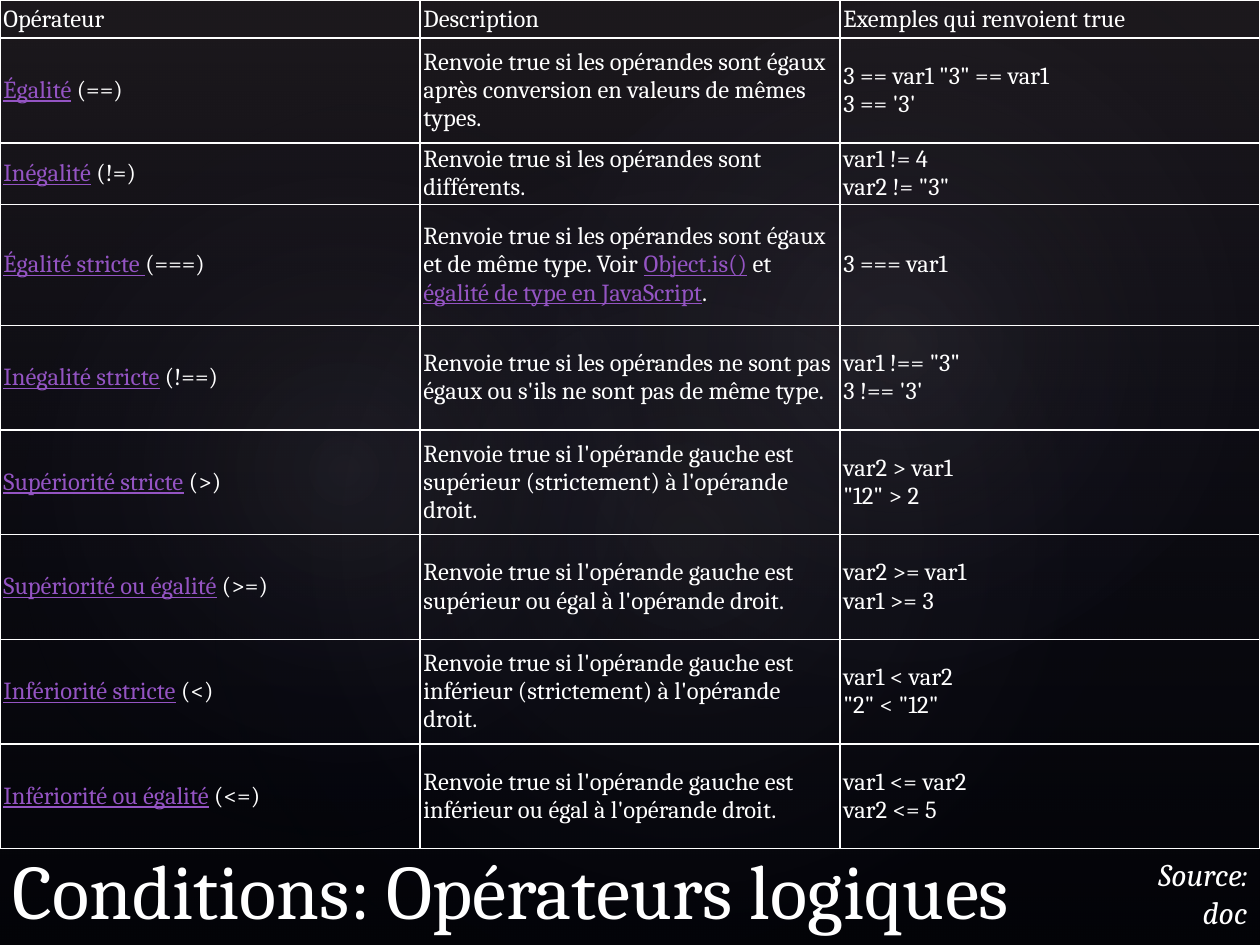
from typing import NamedTuple

from lxml.etree import SubElement
from pptx import Presentation
from pptx.dml.color import RGBColor
from pptx.enum.shapes import MSO_SHAPE
from pptx.enum.text import MSO_ANCHOR, MSO_AUTO_SIZE, PP_ALIGN
from pptx.oxml import parse_xml
from pptx.oxml.ns import nsdecls, qn
from pptx.util import Cm, Pt

FONT = "Cambria"
WHITE = "FFFFFF"
LINK = "9454C3"
NAVY = "242852"
GLOW = "C4BCC6"


class Box(NamedTuple):
    left: float
    top: float
    width: float
    height: float

    def lengths(self) -> list[Cm]:
        return [Cm(value) for value in self]


class Stop(NamedTuple):
    position: int
    color: str
    opacity: int


class Glow(NamedTuple):
    box: Box
    rotation: float
    opacity: int


class Operator(NamedTuple):
    """One table row; link text stands between vertical bars."""
    name: str
    description: str
    examples: str
    height: float = 2.11


GLOWS = [
    Glow(Box(3.81, 2.9, 20.12, 15.85), 328.7, 7),
    Glow(Box(-0.76, 3.25, 15.39, 12.45), 294.3, 8),
    Glow(Box(9.09, 0.33, 18.01, 13.21), 328.7, 8),
]

OPERATORS = [
    Operator("Opérateur", "Description", "Exemples qui renvoient true", 0.77),
    Operator("|Égalité| (==)",
             "Renvoie true si les opérandes sont égaux après conversion en valeurs de mêmes types.",
             "3 == var1 \"3\" == var1\n3 == '3'"),
    Operator("|Inégalité| (!=)", "Renvoie true si les opérandes sont différents.",
             "var1 != 4\nvar2 != \"3\"", 1.12),
    Operator("|Égalité stricte |(===)",
             "Renvoie true si les opérandes sont égaux et de même type. "
             "Voir |Object.is()| et |égalité de type en JavaScript|.",
             "3 === var1", 2.43),
    Operator("|Inégalité stricte| (!==)",
             "Renvoie true si les opérandes ne sont pas égaux ou s'ils ne sont pas de même type.",
             "var1 !== \"3\"\n3 !== '3'"),
    Operator("|Supériorité stricte| (>)",
             "Renvoie true si l'opérande gauche est supérieur (strictement) à l'opérande droit.",
             "var2 > var1\n\"12\" > 2"),
    Operator("|Supériorité ou égalité| (>=)",
             "Renvoie true si l'opérande gauche est supérieur ou égal à l'opérande droit.",
             "var2 >= var1\nvar1 >= 3"),
    Operator("|Infériorité stricte| (<)",
             "Renvoie true si l'opérande gauche est inférieur (strictement) à l'opérande droit.",
             "var1 < var2\n\"2\" < \"12\""),
    Operator("|Infériorité ou égalité| (<=)",
             "Renvoie true si l'opérande gauche est inférieur ou égal à l'opérande droit.",
             "var1 <= var2\nvar2 <= 5"),
]


def rgb(color: str) -> RGBColor:
    return RGBColor.from_string(color)


def format_run(run, size: float, color: str = WHITE) -> None:
    run.font.name = FONT
    run.font.size = Pt(size)
    run.font.color.rgb = rgb(color)


def add_gradient(slide, kind: MSO_SHAPE, box: Box, stops: list[Stop], direction: str):
    """Draw a borderless shape with a translucent gradient."""
    shape = slide.shapes.add_shape(kind, *box.lengths())
    shape.shadow.inherit = False
    shape.line.fill.background()
    stop_xml = "".join(
        f'<a:gs pos="{stop.position * 1000}"><a:srgbClr val="{stop.color}">'
        f'<a:alpha val="{stop.opacity * 1000}"/></a:srgbClr></a:gs>'
        for stop in stops
    )
    gradient = parse_xml(
        f'<a:gradFill {nsdecls("a")} rotWithShape="1"><a:gsLst>{stop_xml}</a:gsLst>'
        f'{direction}</a:gradFill>'
    )
    shape.element.spPr.find(qn("a:prstGeom")).addnext(gradient)
    return shape


def add_text(slide, box: Box, text: str, size: float):
    text_box = slide.shapes.add_textbox(*box.lengths())
    frame = text_box.text_frame
    frame.word_wrap = True
    frame.text = text
    format_run(frame.paragraphs[0].runs[0], size)
    return frame


def add_borders(cell) -> None:
    properties = cell._tc.get_or_add_tcPr()
    for side in ("lnL", "lnR", "lnT", "lnB"):
        line = SubElement(properties, qn(f"a:{side}"), w=str(Pt(1)))
        fill = SubElement(line, qn("a:solidFill"))
        SubElement(fill, qn("a:srgbClr"), val=WHITE)


def fill_cell(cell, text: str) -> None:
    cell.margin_left = cell.margin_right = Cm(0.07)
    cell.margin_top = cell.margin_bottom = Cm(0.03)
    cell.vertical_anchor = MSO_ANCHOR.MIDDLE
    add_borders(cell)
    cell.fill.background()
    frame = cell.text_frame
    for number, line in enumerate(text.split("\n")):
        paragraph = frame.add_paragraph() if number else frame.paragraphs[0]
        for index, part in enumerate(line.split("|")):
            if not part:
                continue
            is_link = index % 2 == 1
            run = paragraph.add_run()
            run.text = part
            format_run(run, 14, LINK if is_link else WHITE)
            run.font.underline = is_link


def add_operator_table(slide, box: Box) -> None:
    columns = 3
    table = slide.shapes.add_table(len(OPERATORS), columns, *box.lengths()).table
    table.first_row = table.horz_banding = False
    for column in table.columns:
        column.width = Cm(box.width / columns)
    for row, operator in zip(table.rows, OPERATORS):
        row.height = Cm(operator.height)
        for cell, text in zip(row.cells, operator[:columns]):
            fill_cell(cell, text)


def main() -> None:
    presentation = Presentation()
    presentation.slide_width, presentation.slide_height = Cm(25.4), Cm(19.05)
    slide = presentation.slides.add_slide(presentation.slide_layouts[6])

    # Background with soft glows
    slide.background.fill.solid()
    slide.background.fill.fore_color.rgb = rgb("000000")
    add_gradient(slide, MSO_SHAPE.RECTANGLE, Box(0, 0, 25.4, 19.05),
                 [Stop(0, "504652", 36), Stop(100, NAVY, 10)], '<a:lin ang="5400000"/>')
    radial = ('<a:path path="circle"><a:fillToRect l="50000" t="50000" '
              'r="50000" b="50000"/></a:path>')
    for glow in GLOWS:
        ellipse = add_gradient(slide, MSO_SHAPE.OVAL, glow.box,
                               [Stop(0, GLOW, glow.opacity), Stop(58, NAVY, 0)], radial)
        ellipse.rotation = glow.rotation

    # Title
    title = add_text(slide, Box(0, 16.43, 23.29, 2.54), "Conditions: Opérateurs logiques", 44)
    title.vertical_anchor = MSO_ANCHOR.BOTTOM

    # Operators
    add_operator_table(slide, Box(0, 0, 25.4, 17.07))

    # Source
    source = add_text(slide, Box(22.71, 17.12, 2.69, 1.8), "Source: doc", 18)
    source.auto_size = MSO_AUTO_SIZE.SHAPE_TO_FIT_TEXT
    source.paragraphs[0].alignment = PP_ALIGN.RIGHT
    source.paragraphs[0].runs[0].font.italic = True

    presentation.save("out.pptx")


if __name__ == "__main__":
    main()
